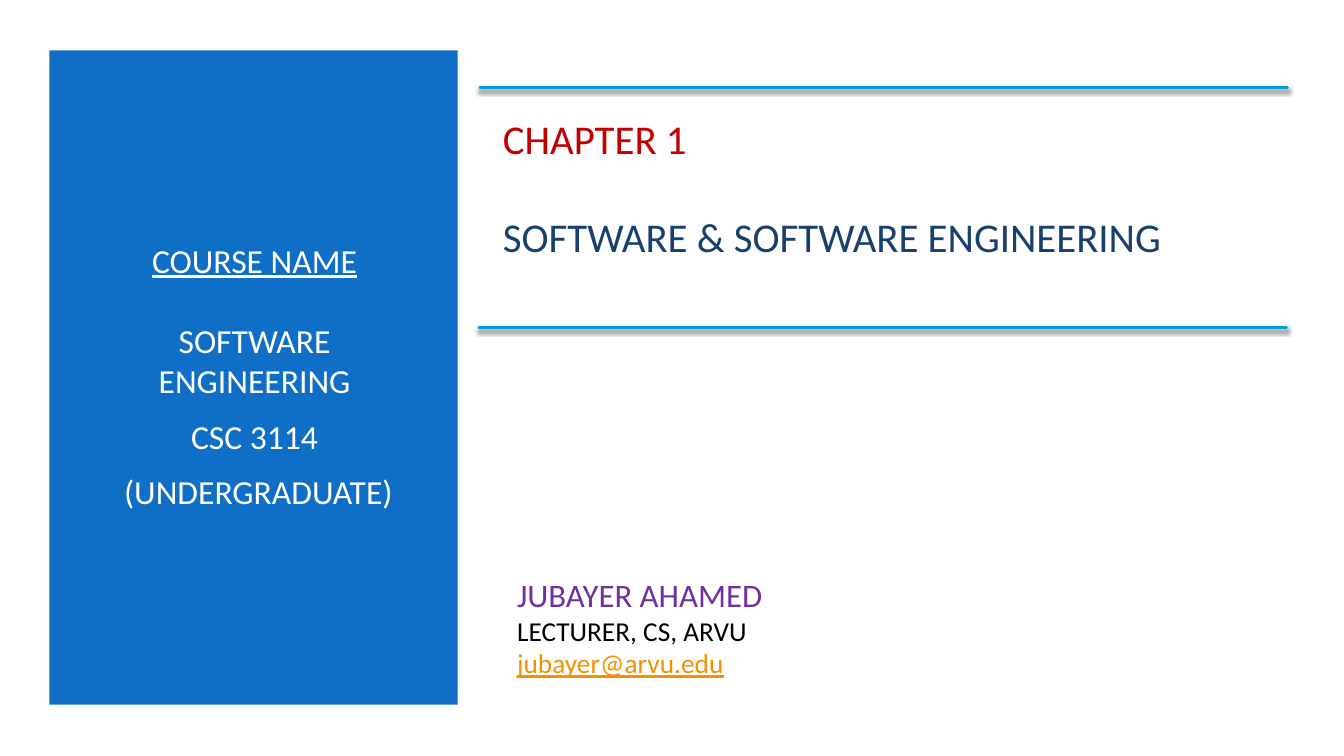
from lxml import etree
from pptx import Presentation
from pptx.dml import color as colors
from pptx.enum import shapes, text
from pptx.oxml import ns
from pptx.util import Inches, Pt

WHITE = "FFFFFF"
CENTER = text.PP_ALIGN.CENTER


def paint(target, hex_code):
    if hasattr(target, "solid"):
        target.solid()
        target = target.fore_color
    target.rgb = colors.RGBColor.from_string(hex_code)


def add_panel(page, left, top, width, height, fill):
    panel = page.shapes.add_shape(
        shapes.MSO_SHAPE.RECTANGLE,
        Inches(left), Inches(top), Inches(width), Inches(height))
    panel.shadow.inherit = False
    paint(panel.fill, fill)
    panel.line.fill.background()


def add_text(page, left, top, width, height, lines):
    box = page.shapes.add_textbox(
        Inches(left), Inches(top), Inches(width), Inches(height))
    frame = box.text_frame
    frame.word_wrap = True
    frame.vertical_anchor = text.MSO_ANCHOR.MIDDLE
    for index, (words, color, font, spacing) in enumerate(lines):
        para = frame.paragraphs[0] if index == 0 else frame.add_paragraph()
        for name, value in spacing.items():
            setattr(para, name, value)
        span = para.add_run()
        span.text = words
        for name, value in {"name": "Calibri", **font}.items():
            setattr(span.font, name, value)
        paint(span.font.fill, color)


def add_rule(page, left, top, width):
    rule = page.shapes.add_connector(
        shapes.MSO_CONNECTOR.STRAIGHT,
        Inches(left), Inches(top), Inches(left + width), Inches(top))
    paint(rule.line.fill, "009DD9")
    rule.line.width = Pt(2)
    properties = rule._element.spPr
    properties.find(ns.qn("a:ln")).set("cap", "rnd")
    effects = etree.SubElement(properties, ns.qn("a:effectLst"))
    shadow = etree.SubElement(
        effects, ns.qn("a:outerShdw"), blurRad=str(Pt(3)), dist=str(Pt(2)),
        dir="5400000", algn="ctr", rotWithShape="0")
    black = etree.SubElement(shadow, ns.qn("a:srgbClr"), val="000000")
    etree.SubElement(black, ns.qn("a:alpha"), val="55000")


def main():
    deck = Presentation()
    deck.slide_width, deck.slide_height = Inches(13.33), Inches(7.5)
    page = deck.slides.add_slide(deck.slide_layouts[6])

    add_panel(page, 0.49, 0.5, 4.05, 6.49, "0F6FC6")

    course = {"size": Pt(24)}
    spaced = {"alignment": CENTER, "space_before": Pt(4.8), "space_after": Pt(6)}
    add_text(page, 0.84, 1.1, 3.37, 5.25, [
        ("COURSE NAME", WHITE, {**course, "underline": True},
         {**spaced, "space_after": Pt(28.8)}),
        ("SOFTWARE ENGINEERING", WHITE, course, {**spaced, "space_before": Pt(0)}),
        ("CSC 3114", WHITE, course, spaced),
        (" (UNDERGRADUATE)", WHITE, course, spaced),
    ])

    title = {"size": Pt(29.2)}
    add_text(page, 4.89, 1.1, 7.85, 1.51, [
        ("CHAPTER 1", "C00000", title, {"space_after": Pt(35)}),
        ("SOFTWARE & SOFTWARE ENGINEERING", "17406D", title, {}),
    ])

    contact = {"size": Pt(19.5)}
    add_text(page, 5.03, 5.44, 6.66, 1.56, [
        ("JUBAYER AHAMED", "7030A0", {"size": Pt(23.4)}, {}),
        ("LECTURER, CS, ARVU", "000000", contact, {}),
        ("jubayer@arvu.edu", "F49100", {**contact, "underline": True}, {}),
    ])

    for left, top in ((4.76, 0.87), (4.75, 3.25)):
        add_rule(page, left, top, 8.01)

    deck.save("out.pptx")


if __name__ == "__main__":
    main()
